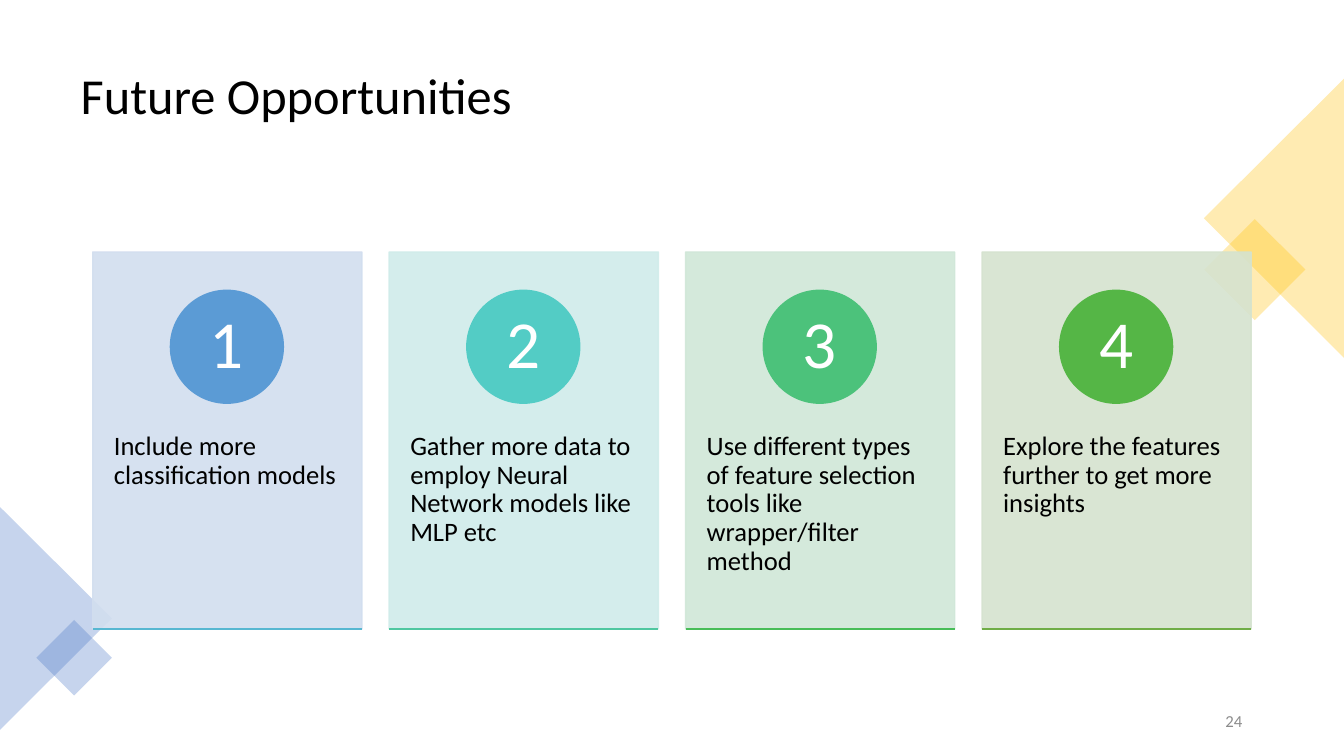
from lxml import etree
from pptx import Presentation
from pptx import util as u
from pptx.dml import color
from pptx.enum import shapes, text
from pptx.oxml import ns

PX = 9144
FONT = "Calibri"
COLORS = {
    "black": "000000",
    "white": "FFFFFF",
    "grey": "8C8C8C",
    "gold": "FFC000",
    "blue": "4472C4",
}
CARDS = [
    ("Include more classification models", "D2DEEF", "5B9BD5", "57B7D1"),
    ("Gather more data to employ Neural Network models like MLP etc", "D0ECEA", "53CCC5", "4FC7A0"),
    ("Use different types of feature selection tools like wrapper/filter method", "D0E7D8", "4CC27B", "48BD58"),
    ("Explore the features further to get more insights", "D5E3CF", "55B646", "70AD47"),
]


def px(*lengths):
    return [u.Emu(length * PX) for length in lengths]


def rgb(value):
    return color.RGBColor.from_string(value)


def set_alpha(properties, percent):
    for fill_color in properties.iter(ns.qn("a:srgbClr")):
        etree.SubElement(fill_color, ns.qn("a:alpha"), val=str(percent * 1000))


def add_block(page, kind, box, fill, alpha=100, outline=False, rotation=0):
    block = page.shapes.add_shape(kind, *px(*box))
    block.shadow.inherit = False
    block.rotation = rotation
    block.fill.solid()
    block.fill.fore_color.rgb = rgb(fill)
    if outline:
        block.line.color.rgb = rgb(fill)
        block.line.width = u.Pt(1)
    else:
        block.line.fill.background()
    if alpha < 100:
        set_alpha(block._element.spPr, alpha)
    return block


def write(shape, words, size, ink="black", align=text.PP_ALIGN.LEFT,
          anchor=text.MSO_ANCHOR.TOP, spacing=0.9, margins=(10, 5)):
    frame = shape.text_frame
    frame.word_wrap = True
    frame.auto_size = text.MSO_AUTO_SIZE.NONE
    frame.vertical_anchor = anchor
    frame.margin_left, frame.margin_top = px(*margins)
    frame.margin_right, frame.margin_bottom = px(*margins)
    para = frame.paragraphs[0]
    para.alignment = align
    para.line_spacing = spacing
    span = para.add_run()
    span.text = words
    span.font.name = FONT
    span.font.size = u.Pt(size)
    span.font.color.rgb = rgb(COLORS[ink])


def add_title(page, box, words):
    title = page.shapes.title
    title.left, title.top, title.width, title.height = px(*box)
    write(title, words, 36, anchor=text.MSO_ANCHOR.MIDDLE)


def add_corner(page, triangle_box, square_box, fill, rotation):
    add_block(page, shapes.MSO_SHAPE.ISOSCELES_TRIANGLE, triangle_box, fill, alpha=30, rotation=rotation)
    add_block(page, shapes.MSO_SHAPE.RECTANGLE, square_box, fill, alpha=30, rotation=45)


def add_card(page, box, number, words, panel_fill, badge_fill, rule_color):
    left, top, width, height = box
    badge_size, inset = 112, 16
    panel = add_block(page, shapes.MSO_SHAPE.RECTANGLE, box, panel_fill, alpha=90, outline=True)

    body = page.shapes.add_textbox(*px(left, top + 143, width, 225))
    write(body, words, 19, margins=(21, 36))

    badge_left, badge_top = left + (width - badge_size) // 2, top + 38
    add_block(page, shapes.MSO_SHAPE.OVAL, (badge_left, badge_top, badge_size, badge_size),
              badge_fill, outline=True)
    label_size = badge_size - 2 * inset
    label = page.shapes.add_textbox(*px(badge_left + inset, badge_top + inset, label_size, label_size))
    write(label, str(number), 48, ink="white", align=text.PP_ALIGN.CENTER,
          anchor=text.MSO_ANCHOR.MIDDLE, margins=(9, 1))

    bottom = top + height
    rule = page.shapes.add_connector(shapes.MSO_CONNECTOR.STRAIGHT,
                                     *px(left, bottom, left + width, bottom))
    rule.line.color.rgb = rgb(rule_color)
    rule.line.width = u.Pt(1)
    etree.SubElement(rule._element.spPr, ns.qn("a:effectLst"))


def add_cards(page, box, gap):
    left, top, width, height = box
    card_width = (width - gap * (len(CARDS) - 1)) // len(CARDS)
    for index, card in enumerate(CARDS):
        card_left = left + index * (card_width + gap)
        add_card(page, (card_left, top, card_width, height), index + 1, *card)


def add_page_number(page, box, number):
    footer = page.shapes.add_textbox(*px(*box))
    write(footer, str(number), 12, ink="grey", align=text.PP_ALIGN.RIGHT,
          anchor=text.MSO_ANCHOR.MIDDLE, spacing=1.0)


def main():
    deck = Presentation()
    deck.slide_width, deck.slide_height = px(1333, 750)
    page = deck.slides.add_slide(deck.slide_layouts[5])
    add_title(page, (70, 35, 1193, 124), "Future Opportunities")
    add_corner(page, (1125, 147, 277, 139), (1209, 232, 71, 71), COLORS["gold"], 270)
    add_corner(page, (-55, 558, 221, 111), (47, 626, 53, 53), COLORS["blue"], 90)
    add_cards(page, (92, 250, 1149, 374), 27)
    add_page_number(page, (942, 695, 300, 40), 24)
    deck.save("out.pptx")


if __name__ == "__main__":
    main()
